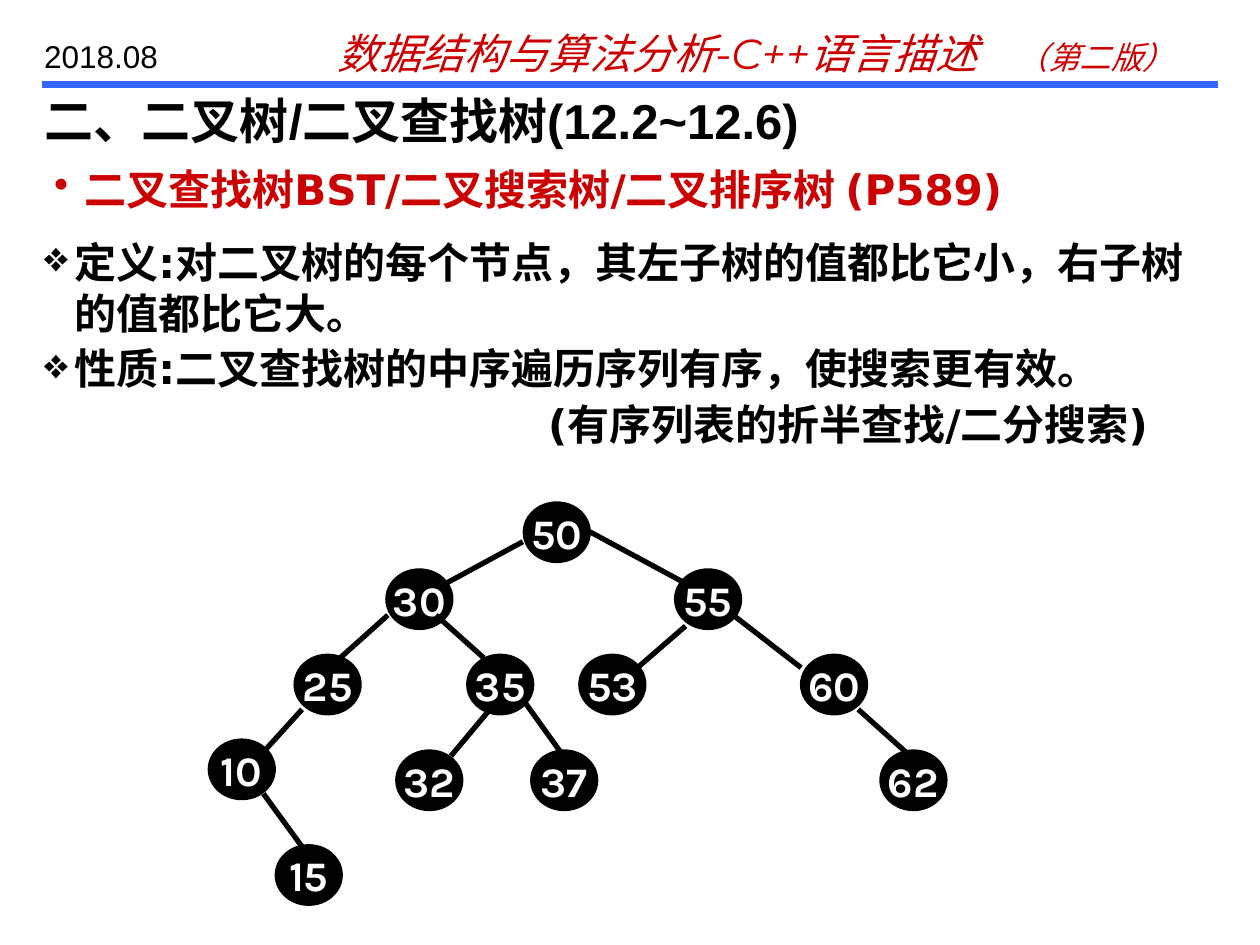
from lxml import etree
from pptx import Presentation
from pptx.dml.color import RGBColor
from pptx.enum.shapes import MSO_CONNECTOR, MSO_SHAPE
from pptx.enum.text import MSO_ANCHOR, PP_ALIGN
from pptx.oxml.ns import qn
from pptx.util import Cm, Pt

STRAIGHT = MSO_CONNECTOR.STRAIGHT
OVAL = MSO_SHAPE.OVAL
MIDDLE = MSO_ANCHOR.MIDDLE
CENTER = PP_ALIGN.CENTER

BLACK = RGBColor(0x00, 0x00, 0x00)
WHITE = RGBColor(0xFF, 0xFF, 0xFF)
RED = RGBColor(0xCC, 0x00, 0x00)
BLUE = RGBColor(0x33, 0x66, 0xFF)

HANGING = 0.61
NODE_WIDTH, NODE_HEIGHT = 1.27, 1.14

# Left and top of each node, in cm from the corner of the tree
NODES = {
    "50": (6.35, 0),
    "30": (3.58, 1.35), "55": (9.4, 1.35),
    "25": (1.73, 3.07), "35": (5.21, 3.07),
    "53": (7.47, 3.07), "60": (11.94, 3.07),
    "10": (0, 4.78), "15": (1.35, 6.91),
    "32": (3.78, 5), "37": (6.5, 5), "62": (13.54, 5),
}
# Start x, y and end x, y of each branch, parent first
BRANCHES = [
    (7.65, 0.56, 9.58, 1.6),     # 50-55
    (6.3, 0.76, 4.75, 1.6),      # 50-30
    (3.58, 2.24, 2.62, 3.1),     # 30-25
    (1.85, 4.14, 1.07, 5),       # 25-10
    (4.55, 2.24, 5.51, 3.1),     # 30-35
    (5.72, 4.04, 4.85, 5.08),    # 35-32
    (1.07, 5.84, 1.85, 6.91),    # 10-15
    (6.3, 3.94, 7.06, 5),        # 35-37
    (9.58, 2.46, 8.61, 3.3),     # 55-53
    (10.54, 2.24, 11.91, 3.3),   # 55-60
    (13.06, 4.14, 14.02, 5),     # 60-62
]


def add_text_frame(page, left, top, width, height):
    box = page.shapes.add_textbox(Cm(left), Cm(top), Cm(width), Cm(height))
    box.text_frame.word_wrap = True
    return box.text_frame


def add_span(para, text, size, font, color, bold=False, italic=False):
    span = para.add_run()
    span.text = text
    span.font.size = Pt(size)
    span.font.name = font
    span.font.color.rgb = color
    span.font.bold = bold
    span.font.italic = italic


def set_indent(para, margin, first=0):
    properties = para._p.get_or_add_pPr()
    properties.set("marL", str(Cm(margin)))
    properties.set("indent", str(Cm(first)))
    return properties


def add_bullet(para, mark, color):
    properties = set_indent(para, HANGING, -HANGING)
    bullet_color = etree.SubElement(properties, qn("a:buClr"))
    etree.SubElement(bullet_color, qn("a:srgbClr"), val=str(color))
    etree.SubElement(properties, qn("a:buChar"), char=mark)


def add_tab(para, position):
    stops = etree.SubElement(para._p.get_or_add_pPr(), qn("a:tabLst"))
    etree.SubElement(stops, qn("a:tab"), pos=str(Cm(position)), algn="l")


def add_line(page, start_x, start_y, end_x, end_y, color, weight):
    line = page.shapes.add_connector(
        STRAIGHT, Cm(start_x), Cm(start_y), Cm(end_x), Cm(end_y))
    line.line.color.rgb = color
    line.line.width = Pt(weight)
    etree.SubElement(line._element.spPr, qn("a:effectLst"))


def add_header(page, left, top, width):
    """Date, book title and the rule below them."""
    add_line(page, left + 0.2, top + 1.27, left + width, top + 1.27, BLUE, 4)

    book = add_text_frame(page, left + 5.91, top, 17.78, 1.27).paragraphs[0]
    add_tab(book, 13.7)
    add_span(book, "数据结构与算法分析-C++语言描述\t", 24, "Montserrat", RED,
             italic=True)
    add_span(book, "（第二版）", 18, "Montserrat", RED, italic=True)

    date = add_text_frame(page, left, top + 0.2, 3.61, 1.02).paragraphs[0]
    add_span(date, "2018.08", 18, "Arial", BLACK)


def add_titles(page, left, top, width):
    title = add_text_frame(page, left, top, width, 1.27).paragraphs[0]
    add_span(title, "二、二叉树/二叉查找树(12.2~12.6)", 28, "Arial", BLACK,
             bold=True)

    topic = add_text_frame(page, left + 0.2, top + 1.48, width - 0.2,
                           1.27).paragraphs[0]
    add_bullet(topic, "•", RED)
    add_span(topic, "二叉查找树BST/二叉搜索树/二叉排序树 (P589)", 24,
             "DejaVu Sans", RED, bold=True)


def add_definitions(page, left, top, width, height):
    frame = add_text_frame(page, left, top, width, height)
    definition = frame.paragraphs[0]
    prop = frame.add_paragraph()
    remark = frame.add_paragraph()
    for para in (prop, remark):
        para.space_before = Pt(3)
    for para in (definition, prop):
        add_bullet(para, "❖", BLACK)
    set_indent(remark, 10.16)

    texts = {
        definition: "定义:对二叉树的每个节点，其左子树的值都比它小，"
                    "右子树的值都比它大。",
        prop: "性质:二叉查找树的中序遍历序列有序，使搜索更有效。",
        remark: "(有序列表的折半查找/二分搜索)",
    }
    for para, text in texts.items():
        add_span(para, text, 24, "DejaVu Sans", BLACK, bold=True)


def add_node(page, left, top, value):
    node = page.shapes.add_shape(OVAL, Cm(left), Cm(top), Cm(NODE_WIDTH),
                                 Cm(NODE_HEIGHT))
    node.shadow.inherit = False
    node.fill.solid()
    node.fill.fore_color.rgb = BLACK
    node.line.color.rgb = BLACK
    node.line.width = Pt(3)
    frame = node.text_frame
    frame.word_wrap = False
    frame.vertical_anchor = MIDDLE
    para = frame.paragraphs[0]
    para.alignment = CENTER
    add_span(para, value, 24, "Karla", WHITE, bold=True)


def add_search_tree(page, left, top):
    for value, (x, y) in NODES.items():
        add_node(page, left + x, top + y, value)
    for start_x, start_y, end_x, end_y in BRANCHES:
        add_line(page, left + start_x, top + start_y, left + end_x,
                 top + end_y, BLACK, 3)


def main():
    deck = Presentation()
    deck.slide_width, deck.slide_height = Cm(25.4), Cm(19.05)
    page = deck.slides.add_slide(deck.slide_layouts[6])
    add_header(page, 0.64, 0.43, 23.92)
    add_titles(page, 0.64, 1.7, 24.76)
    add_definitions(page, 0.64, 4.65, 24.13, 4.55)
    add_search_tree(page, 4.24, 10.16)
    deck.save("out.pptx")


if __name__ == "__main__":
    main()
